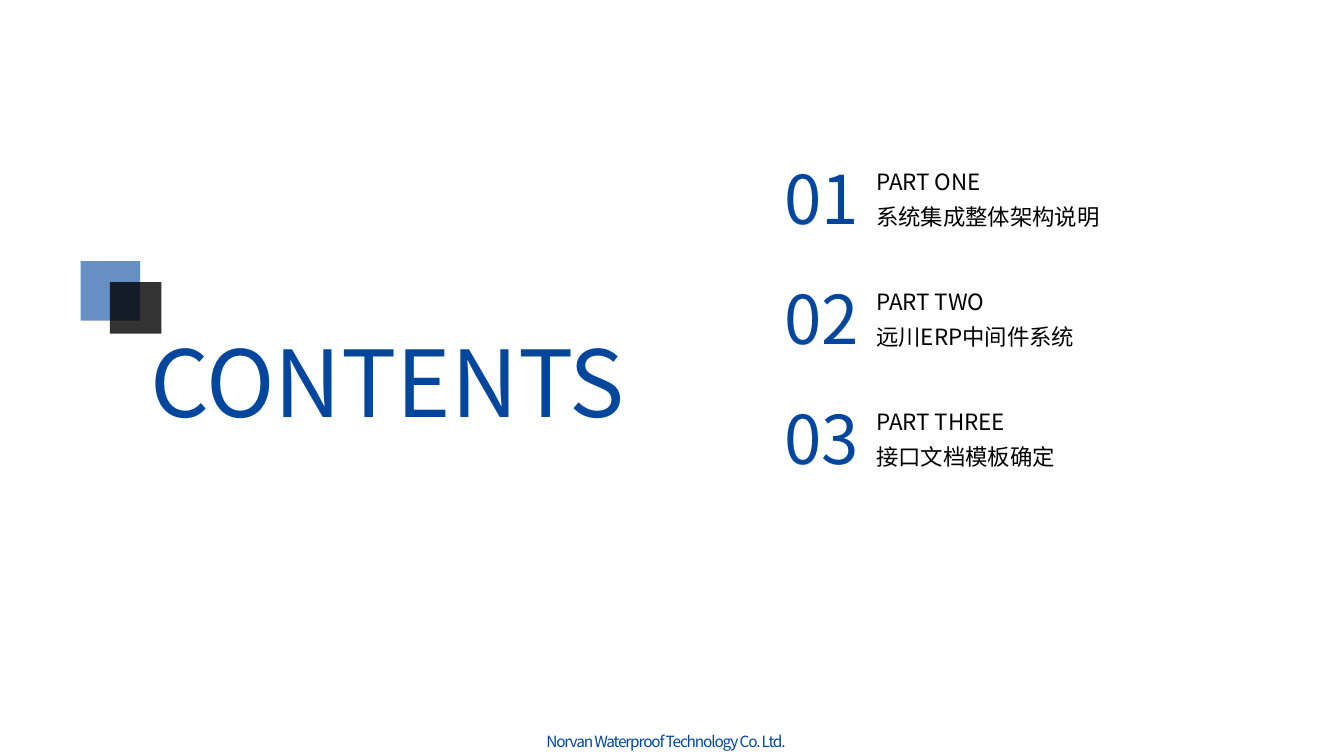
"""Build the contents slide of a system integration deck."""
from typing import NamedTuple

from lxml import etree
from pptx import Presentation
from pptx.dml.color import RGBColor
from pptx.enum.shapes import MSO_SHAPE
from pptx.enum.text import MSO_ANCHOR, MSO_AUTO_SIZE, PP_ALIGN
from pptx.oxml.ns import qn
from pptx.util import Pt

RECT = MSO_SHAPE.RECTANGLE
TOP = MSO_ANCHOR.TOP
NO_FIT = MSO_AUTO_SIZE.NONE
LEFT = PP_ALIGN.LEFT
BLUE = RGBColor(0x00, 0x46, 0x9C)
BLACK = RGBColor(0x00, 0x00, 0x00)
FONT = "Noto Sans CJK SC"
EMU_PER_PX = 9144
COMPARISON_LAYOUT = 3 + 1
FIRST_TOP = 151
PITCH = 119


class Box(NamedTuple):
    """A rectangle in px, 100 to the inch."""
    x: int
    y: int
    w: int
    h: int


class Square(NamedTuple):
    """A translucent square of the emblem."""
    box: Box
    color: RGBColor
    opacity: int


class Part(NamedTuple):
    """One entry of the contents list."""
    label: str
    name: str
    width: int


SQUARES = [
    Square(Box(80, 259, 59, 59), BLUE, 60),
    Square(Box(109, 280, 51, 51), BLACK, 80),
]
PARTS = [
    Part("PART ONE", "系统集成整体架构说明", 244),
    Part("PART TWO", "远川ERP中间件系统", 218),
    Part("PART THREE", "接口文档模板确定", 198),
]


def px(n: int) -> int:
    """Convert px to EMU."""
    return n * EMU_PER_PX


def place(s, box: Box) -> None:
    """Move and size a shape."""
    s.left, s.top, s.width, s.height = map(px, box)


def write(s, lines: list[str], size: int, color: RGBColor,
          spacing: float = 1.0, tracking: int = 0) -> None:
    """Fill a shape with plain paragraphs in one style."""
    tf = s.text_frame
    tf.word_wrap = True
    tf.auto_size = NO_FIT
    tf.vertical_anchor = TOP
    for i, line in enumerate(lines):
        p = tf.add_paragraph() if i else tf.paragraphs[0]
        p.alignment = LEFT
        p.line_spacing = spacing
        p.space_before = Pt(0)
        pPr = p._p.get_or_add_pPr()
        pPr.set("marL", "0")
        pPr.set("indent", "0")
        etree.SubElement(pPr, qn("a:buNone"))
        r = p.add_run()
        r.text = line
        r.font.size = Pt(size)
        r.font.bold = False
        r.font.name = FONT
        r.font.color.rgb = color
        rPr = r._r.get_or_add_rPr()
        etree.SubElement(rPr, qn("a:ea")).set("typeface", FONT)
        if tracking:
            rPr.set("spc", str(tracking))


def add_text(slide, box: Box, text: str, size: int, tracking: int = 0) -> None:
    """Add a blue one-line text box."""
    s = slide.shapes.add_textbox(*map(px, box))
    write(s, [text], size, BLUE, tracking=tracking)


def add_square(slide, square: Square) -> None:
    """Add a translucent square."""
    s = slide.shapes.add_shape(RECT, *map(px, square.box))
    s.shadow.inherit = False
    s.line.fill.background()
    s.fill.solid()
    s.fill.fore_color.rgb = square.color
    clr = s._element.spPr.find(".//" + qn("a:srgbClr"))
    etree.SubElement(clr, qn("a:alpha")).set("val", str(square.opacity * 1000))


def main() -> None:
    """Build and save the slide."""
    prs = Presentation()
    prs.slide_width, prs.slide_height = px(1333), px(750)
    slide = prs.slides.add_slide(prs.slide_layouts[COMPARISON_LAYOUT])
    title, *bodies, spare = list(slide.placeholders)
    spare._element.getparent().remove(spare._element)

    place(title, Box(139, 318, 517, 121))
    write(title, ["CONTENTS"], 66, BLUE)
    for square in SQUARES:
        add_square(slide, square)
    for i, (part, body) in enumerate(zip(PARTS, bodies)):
        top = FIRST_TOP + i * PITCH
        place(body, Box(859, top + 3, part.width, 80))
        write(body, [part.label, part.name], 16, BLACK, spacing=1.3)
        add_text(slide, Box(768, top, 99, 91), f"{i + 1:02}", 48)
    add_text(slide, Box(532, 721, 269, 29),
             "Norvan Waterproof Technology Co. Ltd.", 11, tracking=-85)
    prs.save("out.pptx")


if __name__ == "__main__":
    main()
